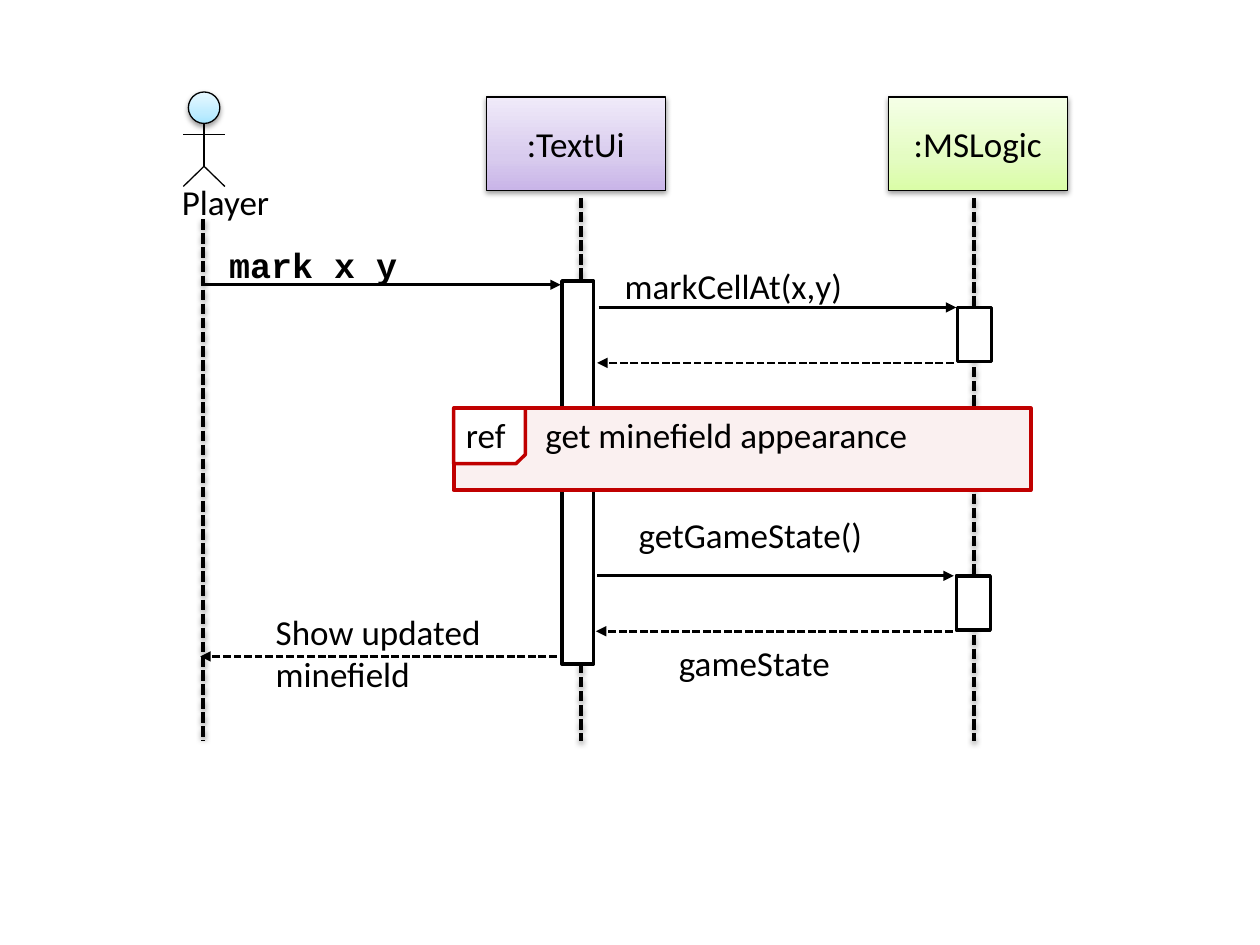
from dataclasses import dataclass
from typing import Optional

from lxml import etree
from pptx import Presentation
from pptx.dml.color import RGBColor
from pptx.enum.dml import MSO_LINE
from pptx.enum.shapes import MSO_CONNECTOR, MSO_SHAPE as Shape
from pptx.enum.text import MSO_ANCHOR as Anchor, PP_ALIGN as Align
from pptx.oxml import parse_xml
from pptx.oxml.ns import nsdecls, qn
from pptx.util import Inches, Pt


@dataclass(frozen=True)
class Theme:
    ink: str = "000000"
    paper: str = "FFFFFF"
    frame: str = "C00000"
    frame_fill: str = "FAF0F0"
    purple: tuple = ("C9B5E8", "D8CBEE", "F0EAF9")
    green: tuple = ("DAFDA7", "E4FCC2", "F5FFE7")
    blue: tuple = ("A7E6FF", "C1EDFF", "E7F8FF")
    font: str = "Calibri"
    code_font: str = "Courier New"
    size: int = 20
    thin: float = 0.75
    arrow: float = 1.5
    thick: float = 2
    heavy: float = 2.25


T = Theme()


@dataclass(frozen=True)
class Lifeline:
    x: float
    top: float


@dataclass(frozen=True)
class Header:
    text: str
    x: float
    colors: tuple


@dataclass(frozen=True)
class Message:
    x1: float
    x2: float
    y: float
    reply: bool = False


@dataclass(frozen=True)
class Label:
    text: str
    x: float
    y: float
    w: float
    h: float = 0.44
    font: str = T.font
    bold: bool = False
    align: Align = Align.LEFT
    anchor: Anchor = Anchor.TOP
    tab: Optional[float] = None


def add_effects(sp, shadow: bool) -> None:
    """Give an object a soft drop shadow, or an empty effect list."""
    effects = etree.SubElement(sp._element.spPr, qn("a:effectLst"))
    if shadow:
        effects.append(parse_xml(
            f'<a:outerShdw {nsdecls("a")} blurRad="{Pt(3.1)}" dist="{Pt(1.6)}" '
            f'dir="5400000" rotWithShape="0"><a:srgbClr val="{T.ink}">'
            '<a:alpha val="38000"/></a:srgbClr></a:outerShdw>'))


def add_line(shapes, x1: float, y1: float, x2: float, y2: float, width: float,
             dashed: bool = False, arrow: bool = False, shadow: bool = False) -> None:
    c = shapes.add_connector(MSO_CONNECTOR.STRAIGHT, Inches(x1), Inches(y1),
                             Inches(x2), Inches(y2))
    c.line.color.rgb = RGBColor.from_string(T.ink)
    c.line.width = Pt(width)
    if dashed:
        c.line.dash_style = MSO_LINE.SQUARE_DOT
    if arrow:
        etree.SubElement(c.line._get_or_add_ln(), qn("a:tailEnd"), type="triangle")
    add_effects(c, shadow)


def add_box(shapes, kind: Shape, x: float, y: float, w: float, h: float,
            fill: str = T.paper, line: str = T.ink, width: float = T.thick):
    sp = shapes.add_shape(kind, Inches(x), Inches(y), Inches(w), Inches(h))
    sp.shadow.inherit = False
    sp.fill.solid()
    sp.fill.fore_color.rgb = RGBColor.from_string(fill)
    sp.line.color.rgb = RGBColor.from_string(line)
    sp.line.width = Pt(width)
    return sp


def add_shaded(shapes, kind: Shape, x: float, y: float, w: float, h: float, colors: tuple):
    """Box with a three-stop gradient, light at the top, and a shadow."""
    sp = add_box(shapes, kind, x, y, w, h, width=T.thin)
    stops = "".join(f'<a:gs pos="{pos}"><a:srgbClr val="{color}"/></a:gs>'
                    for pos, color in zip((0, 35000, 100000), colors))
    props = sp._element.spPr
    props.replace(props.find(qn("a:solidFill")), parse_xml(
        f'<a:gradFill {nsdecls("a")} rotWithShape="1"><a:gsLst>{stops}</a:gsLst>'
        '<a:lin ang="16200000" scaled="1"/></a:gradFill>'))
    props.remove(props.find(qn("a:effectLst")))
    add_effects(sp, True)
    return sp


def set_text(sp, text: str, align: Align, anchor: Anchor, font: str = T.font,
             bold: bool = False, tab: Optional[float] = None) -> None:
    tf = sp.text_frame
    tf.word_wrap = True
    tf.vertical_anchor = anchor
    tf.text = text
    p = tf.paragraphs[0]
    p.alignment = align
    if tab:
        tabs = etree.SubElement(p._p.get_or_add_pPr(), qn("a:tabLst"))
        etree.SubElement(tabs, qn("a:tab"), pos=str(Inches(tab)), algn="l")
    for r in p.runs:
        r.font.name = font
        r.font.size = Pt(T.size)
        r.font.bold = bold
        r.font.color.rgb = RGBColor.from_string(T.ink)


def add_label(shapes, label: Label) -> None:
    sp = shapes.add_textbox(Inches(label.x), Inches(label.y),
                            Inches(label.w), Inches(label.h))
    set_text(sp, label.text, label.align, label.anchor, label.font, label.bold, label.tab)


def add_player(shapes, x: float) -> None:
    g = shapes.add_group_shape().shapes
    neck, arms, hips, feet, reach = 0.9, 1.07, 1.32, 1.48, 0.165
    for line in ((x, neck, x, hips), (x - reach, arms, x + reach, arms),
                 (x, hips, x - reach, feet), (x, hips, x + reach, feet)):
        add_line(g, *line, T.thin)
    add_shaded(g, Shape.OVAL, x - 0.125, 0.73, 0.25, 0.25, T.blue)


LIFELINES = (Lifeline(1.61, 1.74), Lifeline(4.61, 1.57), Lifeline(7.73, 1.57))
HEADERS = (Header(":TextUi", 3.86, T.purple), Header(":MSLogic", 7.05, T.green))
ACTIVATIONS = ((4.46, 2.23, 0.25, 3.04), (7.6, 2.44, 0.27, 0.43), (7.59, 4.57, 0.27, 0.43))
MESSAGES = (
    Message(1.61, 4.45, 2.26),
    Message(4.75, 7.59, 2.44),
    Message(7.57, 4.74, 2.88, reply=True),
    Message(4.74, 7.57, 4.57),
    Message(7.56, 4.73, 5.01, reply=True),
    Message(4.42, 1.59, 5.21, reply=True),
)
LABELS = (
    Label("Player", 1.2, 1.38, 1.18, align=Align.CENTER),
    Label("mark x y", 1.72, 1.88, 2.54, font=T.code_font, bold=True),
    Label("markCellAt(x,y)", 4.86, 2.05, 2.79),
    Label("getGameState()", 4.97, 4.03, 2.46),
    Label("gameState", 5.29, 5.04, 1.87),
    Label("Show updated minefield", 2.09, 4.8, 2.34, 0.77),
    Label("ref\tget minefield appearance", 3.6, 3.24, 4.33, 0.42,
          anchor=Anchor.MIDDLE, tab=0.63),
)


def main() -> None:
    prs = Presentation()
    prs.slide_width, prs.slide_height = Inches(10), Inches(7.5)
    shapes = prs.slides.add_slide(prs.slide_layouts[6]).shapes

    # Participants and their lifelines
    for life in LIFELINES:
        add_line(shapes, life.x, life.top, life.x, 5.88, T.thick, dashed=True, shadow=True)
    add_player(shapes, 1.62)
    for head in HEADERS:
        sp = add_shaded(shapes, Shape.RECTANGLE, head.x, 0.77, 1.42, 0.74, head.colors)
        set_text(sp, head.text, Align.CENTER, Anchor.MIDDLE)

    # Activation bars and messages
    for bar in ACTIVATIONS:
        add_box(shapes, Shape.RECTANGLE, *bar)
    for m in MESSAGES:
        add_line(shapes, m.x1, m.y, m.x2, m.y, T.arrow, dashed=m.reply, arrow=True)

    # Reference frame with its corner tab
    add_box(shapes, Shape.RECTANGLE, 3.6, 3.24, 4.58, 0.65, T.frame_fill, T.frame, T.heavy)
    corner = add_box(shapes, Shape.SNIP_1_RECTANGLE, 3.6, 3.24, 0.57, 0.44, line=T.frame)
    corner._element.spPr.find(qn("a:xfrm")).set("flipV", "1")

    # Labels
    for label in LABELS:
        add_label(shapes, label)

    prs.save("out.pptx")


if __name__ == "__main__":
    main()
